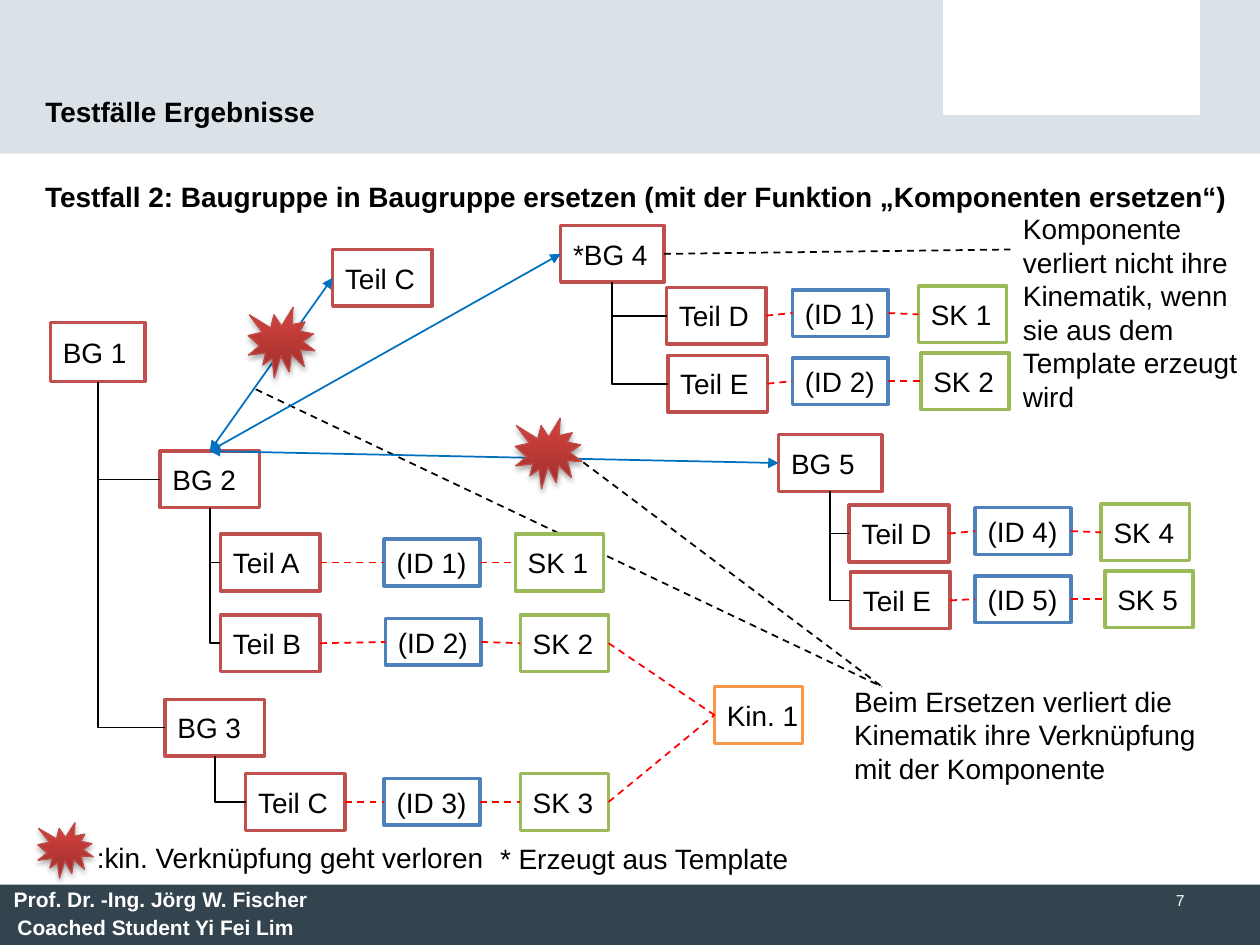
from copy import deepcopy
from dataclasses import dataclass
from typing import NamedTuple

from lxml import etree
from pptx import Presentation
from pptx.dml.color import RGBColor
from pptx.enum.dml import MSO_LINE
from pptx.enum.shapes import MSO_CONNECTOR, MSO_SHAPE
from pptx.enum.text import MSO_ANCHOR, PP_ALIGN
from pptx.oxml import parse_xml
from pptx.oxml.ns import nsdecls, qn
from pptx.util import Inches, Pt

# The slide is a grid of 100 columns and 75 rows of square cells.
CELL = Inches(0.1)
COLUMNS, ROWS = 100, 75

BLACK = RGBColor(0x00, 0x00, 0x00)
WHITE = RGBColor(0xFF, 0xFF, 0xFF)
HEADER_GREY = RGBColor(0xDA, 0xE2, 0xE7)
FOOTER_SLATE = RGBColor(0x33, 0x44, 0x4E)
COMPONENT_RED = RGBColor(0xC0, 0x50, 0x4D)
ID_BLUE = RGBColor(0x4F, 0x81, 0xBD)
SKELETON_GREEN = RGBColor(0x9B, 0xBB, 0x59)
KINEMATICS_ORANGE = RGBColor(0xF7, 0x96, 0x46)
LINK_RED = RGBColor(0xFF, 0x00, 0x00)
REPLACE_BLUE = RGBColor(0x00, 0x70, 0xC0)
SEAL_LINE = RGBColor(0xBF, 0x4C, 0x48)
SEAL_STOPS = (
    (0, RGBColor(0x9C, 0x2F, 0x2D)),
    (0.8, RGBColor(0xCB, 0x3E, 0x3A)),
    (1, RGBColor(0xCE, 0x3B, 0x37)),
)

RECTANGLE, SEAL = MSO_SHAPE.RECTANGLE, MSO_SHAPE.EXPLOSION1
STRAIGHT, ELBOW = MSO_CONNECTOR.STRAIGHT, MSO_CONNECTOR.ELBOW
DASH = MSO_LINE.DASH
TOP, MIDDLE, BOTTOM = MSO_ANCHOR.TOP, MSO_ANCHOR.MIDDLE, MSO_ANCHOR.BOTTOM
LEFT, RIGHT = PP_ALIGN.LEFT, PP_ALIGN.RIGHT
TOP_SIDE, LEFT_SIDE, BOTTOM_SIDE, RIGHT_SIDE = range(4)


class Point(NamedTuple):
    column: float
    row: float


class Joint(NamedTuple):
    shape: object
    side: int


@dataclass
class Box:
    text: str
    at: Point
    colour: RGBColor = COMPONENT_RED
    width: float = 7.9
    height: float = 4.5


@dataclass
class Chain:
    """A component below an assembly, with its ID and its skeleton."""
    assembly: str
    component: str
    component_at: Point
    number: int
    id_at: Point
    skeleton_at: Point


@dataclass
class Label:
    text: str
    at: Point
    width: float
    height: float
    size: float = 16
    bold: bool = False
    colour: RGBColor = BLACK
    align: int = LEFT
    wrap: bool = False


ASSEMBLIES = (
    Box("BG 1", Point(4, 25.6), width=7.5, height=4.7),
    Box("BG 2", Point(12.7, 35.8)),
    Box("BG 3", Point(13.1, 55.5)),
    Box("*BG 4", Point(44.5, 17.9), width=8.2),
    Box("BG 5", Point(61.8, 34.5), width=8.2),
    Box("Teil C", Point(26.4, 19.8)),
    Box("Kin. 1", Point(56.7, 54.5), KINEMATICS_ORANGE, 7),
)
CHAINS = (
    Chain("BG 2", "Teil A", Point(17.5, 42.4), 1, Point(30.5, 42.8), Point(40.9, 42.4)),
    Chain("BG 2", "Teil B", Point(17.5, 48.8), 2, Point(30.6, 49.1), Point(41.3, 48.8)),
    Chain("BG 3", "Teil C", Point(19.5, 61.4), 3, Point(30.5, 61.8), Point(41.3, 61.4)),
    Chain("*BG 4", "Teil D", Point(52.9, 22.8), 1, Point(62.9, 23), Point(72.9, 22.7)),
    Chain("*BG 4", "Teil E", Point(53, 28.2), 2, Point(62.9, 28.4), Point(73.1, 28)),
    Chain("BG 5", "Teil D", Point(67.4, 40.1), 4, Point(77.4, 40.3), Point(87.4, 40)),
    Chain("BG 5", "Teil E", Point(67.5, 45.4), 5, Point(77.4, 45.7), Point(87.7, 45.3)),
)
SEALS = ((Point(19.7, 24.4), 5.3, 5.6), (Point(40.9, 33.2), 5.3, 5.6), (Point(3, 65.3), 4.4, 4.4))
LABELS = (
    Label("Prof. Dr. -Ing. Jörg W. Fischer", Point(0.1, 69.9), 26.8, 3, 12, True, WHITE),
    Label("Coached Student Yi Fei Lim", Point(0.4, 72.1), 24.5, 3, 12, True, WHITE),
    Label("Testfall 2: Baugruppe in Baugruppe ersetzen (mit der Funktion „Komponenten ersetzen“)",
          Point(2.6, 13.8), 97, 3.7, bold=True),
    Label(":kin. Verknüpfung geht verloren", Point(6.7, 66.2), 33.1, 3.7),
    Label("* Erzeugt aus Template", Point(38.7, 66.3), 25.2, 3.7),
    Label("7", Point(71.7, 70.2), 23.3, 4.8, 9, False, WHITE, RIGHT, True),
    Label("Beim Ersetzen verliert die Kinematik ihre Verknüpfung mit der Komponente",
          Point(66.8, 53.8), 30.4, 9.1, wrap=True),
    Label("Komponente verliert nicht ihre Kinematik, wenn sie aus dem Template erzeugt wird",
          Point(80.2, 16.3), 20.9, 17.2, wrap=True),
)


def cells(*counts: float) -> list[int]:
    return [round(count * CELL) for count in counts]


def write(shape, text: str, size: float = 16, bold: bool = False, colour: RGBColor = BLACK,
          align: int = LEFT, anchor: int = TOP, wrap: bool = False) -> None:
    frame = shape.text_frame
    frame.word_wrap, frame.vertical_anchor = wrap, anchor
    paragraph = frame.paragraphs[0]
    paragraph.alignment = align
    run = paragraph.add_run()
    run.text = text
    run.font.name, run.font.size, run.font.bold = "Arial", Pt(size), bold
    run.font.color.rgb = colour


def add_panel(slide, at: Point, width: float, height: float, fill: RGBColor,
              line: RGBColor | None = None):
    shape = slide.shapes.add_shape(RECTANGLE, *cells(*at, width, height))
    shape.shadow.inherit = False
    shape.fill.solid()
    shape.fill.fore_color.rgb = fill
    if line is None:
        shape.line.fill.background()
    else:
        shape.line.color.rgb, shape.line.width = line, Pt(2)
    return shape


def add_box(slide, box: Box):
    shape = add_panel(slide, box.at, box.width, box.height, WHITE, box.colour)
    write(shape, box.text, anchor=MIDDLE)
    return shape


def add_label(slide, label: Label) -> None:
    shape = slide.shapes.add_textbox(*cells(*label.at, label.width, label.height))
    write(shape, label.text, label.size, label.bold, label.colour, label.align, wrap=label.wrap)


def add_line(slide, start: Point | Joint, end: Point | Joint, colour: RGBColor = BLACK,
             dashed: bool = False, arrows: bool = False, kind: int = STRAIGHT):
    places = [cells(*place) if isinstance(place, Point) else (0, 0) for place in (start, end)]
    connector = slide.shapes.add_connector(kind, *places[0], *places[1])
    if isinstance(start, Joint):
        connector.begin_connect(*start)
    if isinstance(end, Joint):
        connector.end_connect(*end)
    connector.line.color.rgb, connector.line.width = colour, Pt(1)
    if dashed:
        connector.line.dash_style = DASH
    properties = connector.element.spPr
    if arrows:
        for tag in ("a:headEnd", "a:tailEnd"):
            etree.SubElement(properties.find(qn("a:ln")), qn(tag), type="triangle")
    etree.SubElement(properties, qn("a:effectLst"))
    return connector


def add_branch(slide, upper, lower) -> None:
    """Draw one bend: down from the upper box, then right to the lower one."""
    branch = add_line(slide, Joint(upper, BOTTOM_SIDE), Joint(lower, LEFT_SIDE), kind=ELBOW)
    across, down = branch.width, branch.height
    branch.left += (across - down) // 2
    branch.top += (down - across) // 2
    branch.width, branch.height = down, across
    branch.element.spPr.find(qn("a:prstGeom")).set("prst", "bentConnector2")
    frame = branch.element.spPr.find(qn("a:xfrm"))
    frame.set("rot", str(270 * 60000))
    frame.set("flipH", "1")


def add_chain(slide, chain: Chain, assembly):
    component = add_box(slide, Box(chain.component, chain.component_at))
    identity = add_box(slide, Box(f"(ID {chain.number})", chain.id_at, ID_BLUE, 7.6, 3.7))
    skeleton = add_box(slide, Box(f"SK {chain.number}", chain.skeleton_at, SKELETON_GREEN, 7))
    add_branch(slide, assembly, component)
    for first, second in ((component, identity), (identity, skeleton)):
        add_line(slide, Joint(first, RIGHT_SIDE), Joint(second, LEFT_SIDE), LINK_RED, True)
    return skeleton


def add_seal(slide, at: Point, width: float, height: float) -> None:
    seal = slide.shapes.add_shape(SEAL, *cells(*at, width, height))
    seal.line.color.rgb, seal.line.width = SEAL_LINE, Pt(0.75)
    seal.fill.gradient()
    seal.fill.gradient_angle = 90
    stop_list = seal.element.spPr.find(".//" + qn("a:gsLst"))
    stop_list.append(deepcopy(stop_list[0]))
    for stop, (position, colour) in zip(seal.fill.gradient_stops, SEAL_STOPS):
        stop.position, stop.color.rgb = position, colour
    seal.shadow.inherit = False
    seal.element.spPr.find(qn("a:effectLst")).append(parse_xml(
        f'<a:outerShdw {nsdecls("a")} blurRad="40000" dist="23000" dir="5400000" rotWithShape="0">'
        '<a:srgbClr val="000000"><a:alpha val="35000"/></a:srgbClr></a:outerShdw>'))


def main() -> None:
    presentation = Presentation()
    presentation.slide_width, presentation.slide_height = cells(COLUMNS, ROWS)
    slide = presentation.slides.add_slide(presentation.slide_layouts.get_by_name("Title Only"))

    add_panel(slide, Point(0, 0), COLUMNS, 12.2, HEADER_GREY)
    add_panel(slide, Point(75, 0.1), 20.1, 8.9, WHITE, WHITE)
    add_panel(slide, Point(0, 70.2), COLUMNS, 4.8, FOOTER_SLATE)
    title = slide.shapes.title
    title.left, title.top, title.width, title.height = cells(2.6, 4.4, 60.7, 6.3)
    write(title, "Testfälle Ergebnisse", bold=True, anchor=BOTTOM, wrap=True)
    title.element.getparent().append(title.element)  # in front of the header band

    lost_link_note = Point(70, 54.5)
    add_line(slide, Point(20.3, 30.9), lost_link_note, dashed=True)
    boxes = {box.text: add_box(slide, box) for box in ASSEMBLIES}
    for child in ("BG 2", "BG 3"):
        add_branch(slide, boxes["BG 1"], boxes[child])
    skeletons = [add_chain(slide, chain, boxes[chain.assembly]) for chain in CHAINS]
    for skeleton in skeletons[1:3]:
        add_line(slide, Joint(skeleton, RIGHT_SIDE), Joint(boxes["Kin. 1"], LEFT_SIDE), LINK_RED, True)
    for replacement in ("Teil C", "*BG 4", "BG 5"):
        add_line(slide, Joint(boxes[replacement], LEFT_SIDE), Joint(boxes["BG 2"], TOP_SIDE),
                 REPLACE_BLUE, arrows=True)
    for seal in SEALS:
        add_seal(slide, *seal)
    add_line(slide, Point(46.3, 36.7), lost_link_note, dashed=True)
    add_line(slide, Joint(boxes["*BG 4"], RIGHT_SIDE), Point(80.2, 19.8), dashed=True)
    for label in LABELS:
        add_label(slide, label)
    presentation.save("out.pptx")


if __name__ == "__main__":
    main()
